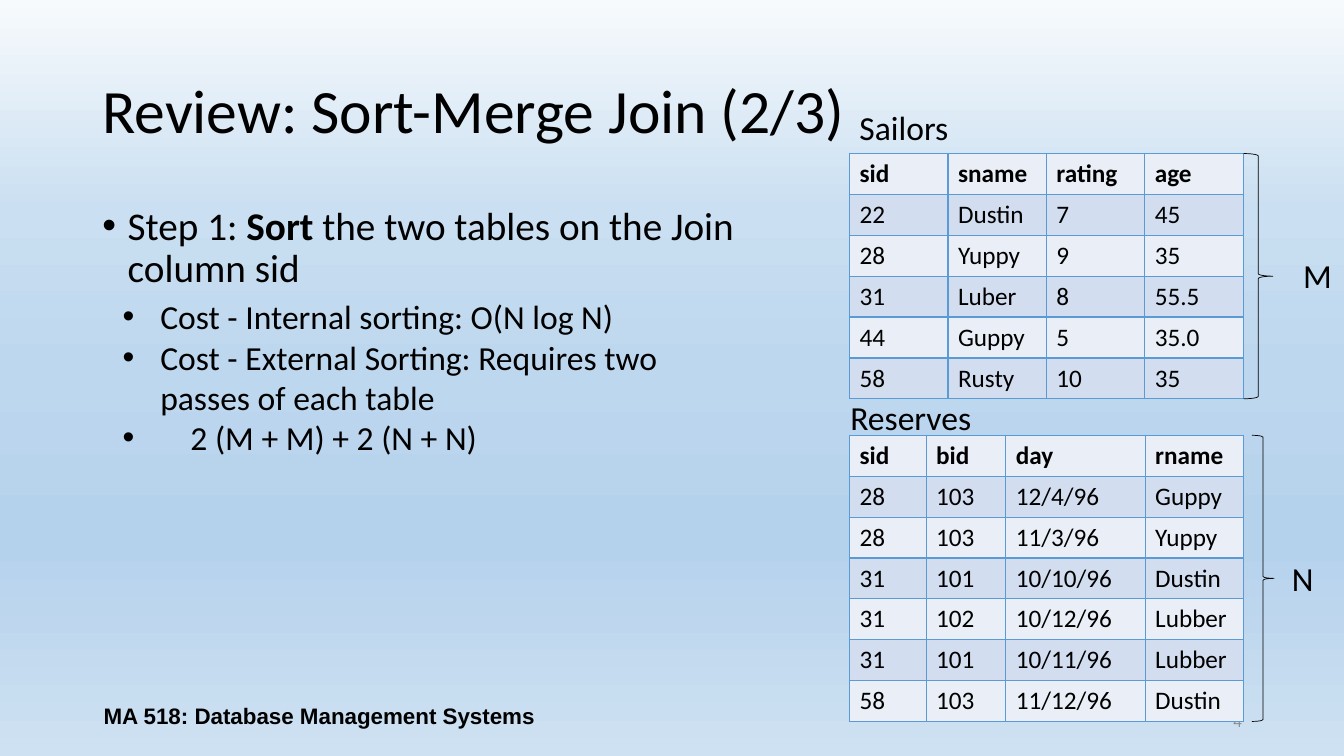
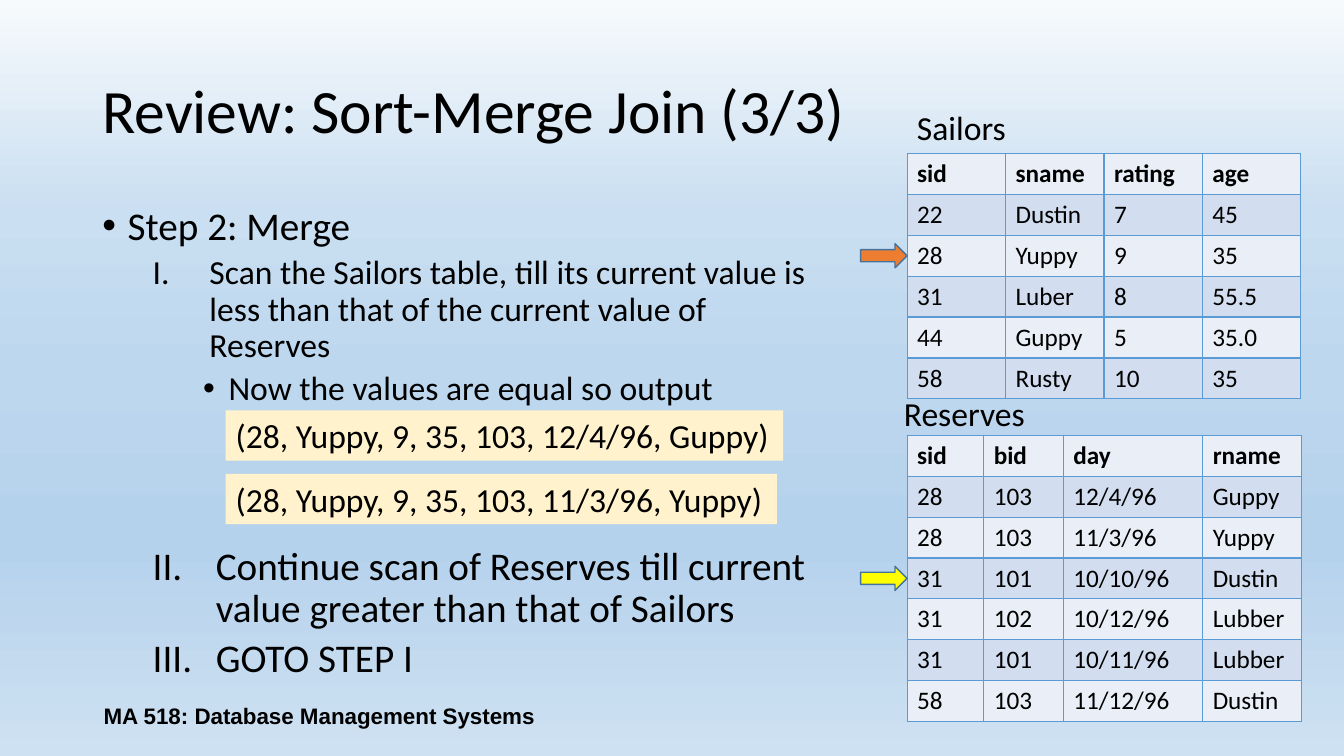
from dataclasses import dataclass

from lxml.etree import SubElement
from pptx import Presentation
from pptx.dml.color import RGBColor as RGB
from pptx.enum.shapes import MSO_SHAPE as SHAPE
from pptx.enum.text import MSO_ANCHOR as ANCHOR, PP_ALIGN as ALIGN
from pptx.oxml.ns import qn
from pptx.util import Cm, Pt

# Content
COURSE = "MA 518: Database Management Systems"
PAGE_NUMBER = "4"
SAILORS = [
    ("sid", "sname", "rating", "age"),
    ("22", "Dustin", "7", "45"),
    ("28", "Yuppy", "9", "35"),
    ("31", "Luber", "8", "55.5"),
    ("44", "Guppy", "5", "35.0"),
    ("58", "Rusty", "10", "35"),
]
RESERVES = [
    ("sid", "bid", "day", "rname"),
    ("28", "103", "12/4/96", "Guppy"),
    ("28", "103", "11/3/96", "Yuppy"),
    ("31", "101", "10/10/96", "Dustin"),
    ("31", "102", "10/12/96", "Lubber"),
    ("31", "101", "10/11/96", "Lubber"),
    ("58", "103", "11/12/96", "Dustin"),
]
OUTPUT_ROWS = [
    ("(28, Yuppy, 9, 35, 103, 12/4/96, Guppy)", 14.05),
    ("(28, Yuppy, 9, 35, 103, 11/3/96, Yuppy)", 13.89),
]


@dataclass(frozen=True)
class Theme:
    """Colours, fonts and type sizes of the deck."""
    font: str = "Calibri"
    footer_font: str = "Arial"
    ink: str = "000000"
    muted: str = "8C8C8C"
    border: str = "5B9BD5"
    bands: tuple = ("EAEFF7", "D2DEEF")
    output: str = "FFF2CC"
    sailors_arrow: str = "ED7D31"
    reserves_arrow: str = "FFFF00"
    arrow_line: str = "43739E"
    sky: tuple = ((0, "F7FAFD"), (28, "CADFF1"), (49, "BDD7EE"),
                  (71, "B5D2EC"), (72, "B5D2EC"), (100, "CEE1F2"))
    title: int = 44
    step: int = 28
    detail: int = 24
    cell: int = 18
    footer: int = 16
    number: int = 12


THEME = Theme()


@dataclass(frozen=True)
class Para:
    """One paragraph; runs are (text, bold) pairs, lengths in cm."""
    runs: tuple
    size: int = THEME.detail
    bullet: str = ""
    left: float = 0
    hang: float = 0
    level: int = 0
    before: float = 0
    spacing: float = 1.0
    align: ALIGN = ALIGN.LEFT
    font: str = THEME.font
    color: str = THEME.ink


def line(text, bold=False, **style):
    """Make a paragraph with a single run."""
    return Para(((text, bold),), **style)


DOT, ROMAN = "•", "roman"
STEP = dict(size=THEME.step, bullet=DOT, left=0.64, hang=0.64, before=10, spacing=0.9)
COST = dict(bullet=DOT, left=2.22, hang=0.95, level=1)
SCAN = dict(bullet=ROMAN, left=2.7, hang=1.43, level=1, before=5, spacing=0.9)
NEXT = {**SCAN, "size": THEME.step, "left": 2.86, "hang": 1.59}

SORT_STEP = [Para((("Step 1: ", False), ("Sort", True),
                   (" the two tables on the Join column sid", False)), **STEP)]
SORT_COSTS = [
    line("Cost - Internal sorting: O(N log N)", **COST),
    line("Cost - External Sorting: Requires two passes of each table", **COST),
    line("2 (M + M) + 2 (N + N)", **{**COST, "left": 2.98, "hang": 1.71}),
]
MERGE_STEPS = [
    line("Step 2: Merge", **STEP),
    line("Scan the Sailors table, till its current value is less than that "
         "of the current value of Reserves", **SCAN),
    line("Now the values are equal so output", bullet=DOT, left=3.18,
         hang=0.64, level=2, before=5, spacing=0.9),
    line("Continue scan of Reserves till current value greater than that "
         "of Sailors", **{**NEXT, "before": 99}),
    line("GOTO STEP I", **NEXT),
]

# Layout, in cm
ROW = 1.03
SAILORS_TOP, RESERVES_TOP = 3.87, 10.97
SAILORS_COLS = (2.48,) * 4
RESERVES_COLS = (1.93, 2.01, 3.51, 2.48)
LABEL_HEIGHT = 1.27
BODY = (2.33, 5.08, 18.85, 12.1)


def add_bullet(paragraph, spec):
    """Give a paragraph its hanging indent and its bullet or numeral."""
    props = paragraph._p.get_or_add_pPr()
    props.set("marL", str(Cm(spec.left)))
    props.set("indent", str(-Cm(spec.hang)))
    if spec.bullet == ROMAN:
        SubElement(props, qn("a:buAutoNum"), type="romanUcPeriod")
    else:
        SubElement(props, qn("a:buFont"), typeface="Arial")
        SubElement(props, qn("a:buChar"), char=spec.bullet)


def set_font(font, name, size, color):
    """Set family, size and colour of a font."""
    font.name, font.size = name, Pt(size)
    font.color.rgb = RGB.from_string(color)


def add_text(slide, box, paras, anchor=ANCHOR.TOP, wrap=True, fill=None):
    """Add a text box holding the given paragraphs."""
    textbox = slide.shapes.add_textbox(*map(Cm, box))
    if fill:
        textbox.fill.solid()
        textbox.fill.fore_color.rgb = RGB.from_string(fill)
    frame = textbox.text_frame
    frame.word_wrap, frame.vertical_anchor = wrap, anchor
    for index, spec in enumerate(paras):
        paragraph = frame.add_paragraph() if index else frame.paragraphs[0]
        paragraph.level, paragraph.alignment = spec.level, spec.align
        paragraph.line_spacing = spec.spacing
        paragraph.space_before = Pt(spec.before)
        if spec.bullet:
            add_bullet(paragraph, spec)
        set_font(paragraph.font, spec.font, spec.size, spec.color)
        for text, bold in spec.runs:
            run = paragraph.add_run()
            run.text = text
            if bold:
                run.font.bold = True


def add_borders(cell):
    """Draw a thin line on all four sides of a cell."""
    props = cell._tc.get_or_add_tcPr()
    for side in "LRTB":
        edge = SubElement(props, qn(f"a:ln{side}"), w=str(Pt(1)))
        SubElement(SubElement(edge, qn("a:solidFill")), qn("a:srgbClr"), val=THEME.border)


def add_relation(slide, rows, left, top, widths):
    """Add a relation as a banded table with a bold header."""
    table = slide.shapes.add_table(len(rows), len(widths), Cm(left), Cm(top),
                                   Cm(sum(widths)), Cm(ROW * len(rows))).table
    table.horz_banding = False
    for column, width in zip(table.columns, widths):
        column.width = Cm(width)
    for r, values in enumerate(rows):
        table.rows[r].height = Cm(ROW)
        for c, value in enumerate(values):
            cell = table.cell(r, c)
            add_borders(cell)
            cell.fill.solid()
            cell.fill.fore_color.rgb = RGB.from_string(THEME.bands[r % 2])
            cell.text = value
            font = cell.text_frame.paragraphs[0].font
            set_font(font, THEME.font, THEME.cell, THEME.ink)
            font.bold = r == 0


def add_relations(slide, left, reserves_label):
    """Add both relations with their names; reserves_label is (left, top)."""
    add_relation(slide, SAILORS, left, SAILORS_TOP, SAILORS_COLS)
    add_relation(slide, RESERVES, left, RESERVES_TOP, RESERVES_COLS)
    add_text(slide, (left, 2.57, 3.05, LABEL_HEIGHT), [line("Sailors")])
    add_text(slide, (*reserves_label, 3.63, LABEL_HEIGHT), [line("Reserves")])


def add_outline(slide, kind, box, color, width, fill=None):
    """Add a preset shape with a line and, if given, a fill."""
    shape = slide.shapes.add_shape(kind, *map(Cm, box))
    shape.shadow.inherit = False
    shape.line.color.rgb = RGB.from_string(color)
    shape.line.width = Pt(width)
    if fill:
        shape.fill.solid()
        shape.fill.fore_color.rgb = RGB.from_string(fill)
    else:
        shape.fill.background()


def add_brace(slide, rows, left, top, width):
    """Bracket all rows of a relation."""
    add_outline(slide, SHAPE.RIGHT_BRACE, (left, top, width, ROW * len(rows)),
                THEME.ink, 0.5)


def add_pointer(slide, table_left, table_top, row, fill):
    """Point an arrow at the current row of a relation."""
    width, height = 1.17, 0.61
    middle = table_top + (row + 0.5) * ROW
    add_outline(slide, SHAPE.RIGHT_ARROW,
                (table_left - width, middle - height / 2, width, height),
                THEME.arrow_line, 1, fill)


def paint_background(master):
    """Put the sky gradient on the master, running downwards."""
    fill = master.background.fill
    fill.gradient()
    fill.gradient_angle = 270
    stops = master.element.find(".//" + qn("a:gsLst"))
    for stop in list(stops):
        stops.remove(stop)
    for percent, color in THEME.sky:
        stop = SubElement(stops, qn("a:gs"), pos=str(percent * 1000))
        SubElement(stop, qn("a:srgbClr"), val=color)


def new_slide(deck, part):
    """Add a blank slide with the title and the course footer."""
    slide = deck.slides.add_slide(deck.slide_layouts[6])
    add_text(slide, (2.33, 1.02, 29.21, 3.68),
             [line(f"Review: Sort-Merge Join ({part}/3)", size=THEME.title, spacing=0.9)],
             ANCHOR.MIDDLE)
    add_text(slide, (2.33, 17.53, 11.43, 1.02),
             [line(COURSE, bold=True, size=THEME.footer, font=THEME.footer_font,
                   align=ALIGN.CENTER)], ANCHOR.MIDDLE)
    return slide


def build_sort(deck):
    """Build the slide on sorting both relations."""
    slide, left = new_slide(deck, 2), 21.41
    add_text(slide, BODY, SORT_STEP)
    add_text(slide, (23.93, 17.65, 7.62, 1.02),
             [line(PAGE_NUMBER, size=THEME.number, color=THEME.muted, align=ALIGN.RIGHT)],
             ANCHOR.MIDDLE)
    add_relations(slide, left, (21.18, 9.88))
    add_brace(slide, SAILORS, 31.34, SAILORS_TOP, 0.74)
    add_brace(slide, RESERVES, 31.55, RESERVES_TOP, 0.56)
    add_text(slide, (32.59, 6.3, 1.28, LABEL_HEIGHT), [line("M")])
    add_text(slide, (32.31, 13.94, 1.28, LABEL_HEIGHT), [line("N")])
    add_text(slide, (1.57, 7.34, 17.65, 4.37), SORT_COSTS)


def build_merge(deck):
    """Build the slide on merging the sorted relations."""
    slide, left = new_slide(deck, 3), 22.86
    add_text(slide, BODY, MERGE_STEPS)
    for index, (row, width) in enumerate(OUTPUT_ROWS):
        add_text(slide, (5.69, 10.34 + 1.6 * index, width, LABEL_HEIGHT), [line(row)],
                 wrap=False, fill=THEME.output)
    add_relations(slide, left, (22.53, 9.78))
    add_pointer(slide, left, SAILORS_TOP, 2, THEME.sailors_arrow)
    add_pointer(slide, left, RESERVES_TOP, 3, THEME.reserves_arrow)


deck = Presentation()
deck.slide_width, deck.slide_height = Cm(33.87), Cm(19.05)
paint_background(deck.slide_master)
build_sort(deck)
build_merge(deck)
deck.save("out.pptx")
